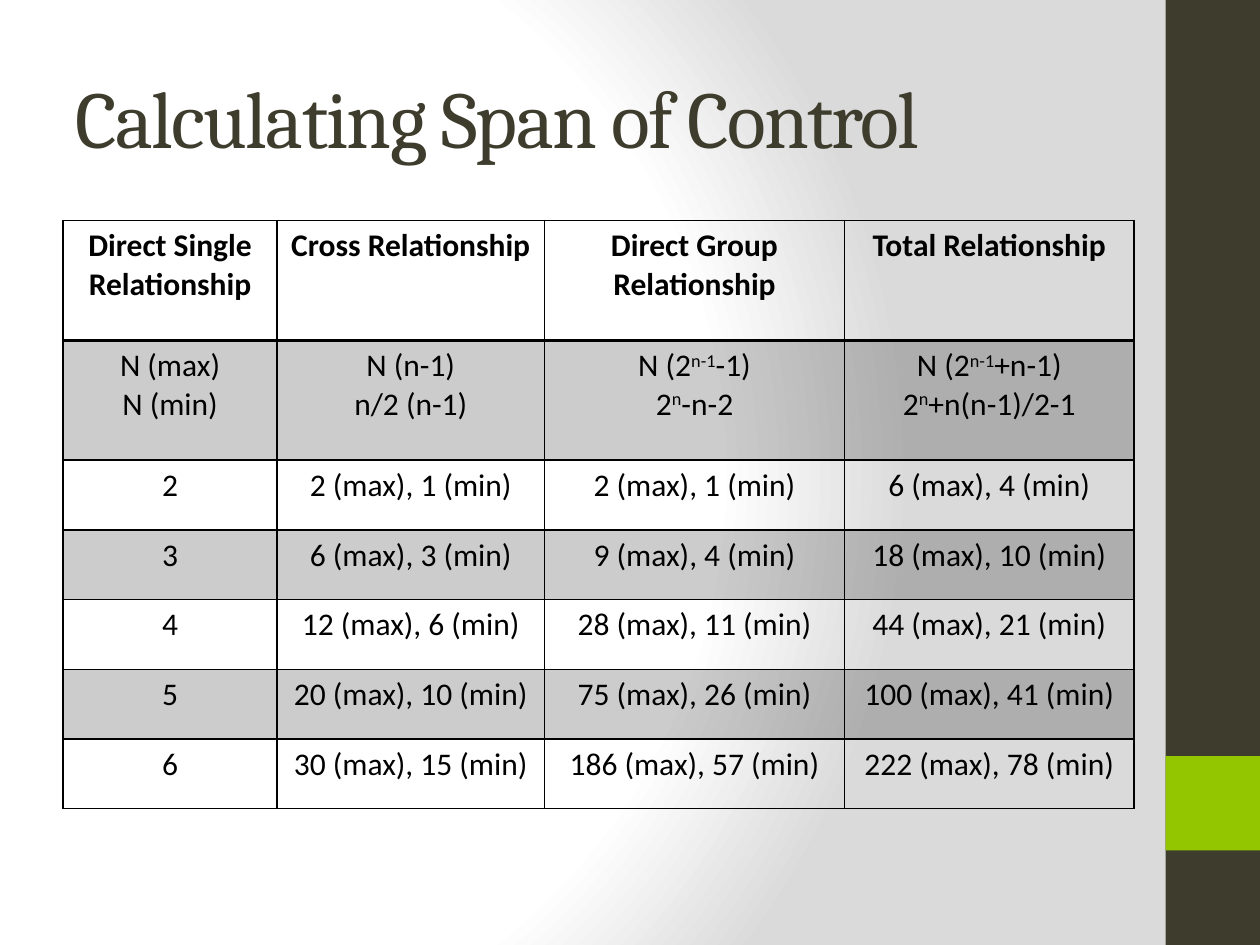
from lxml import etree
from pptx import Presentation
from pptx.dml.color import RGBColor
from pptx.enum import shapes, text
from pptx.oxml import ns, parse_xml
from pptx.util import Pt

OLIVE = RGBColor(0x3E, 0x3D, 0x2D)
GREEN = RGBColor(0x94, 0xC6, 0x00)
BLACK = RGBColor(0x00, 0x00, 0x00)
WHITE = RGBColor(0xFF, 0xFF, 0xFF)
GREY = RGBColor(0xDA, 0xDA, 0xDA)

COLUMN_WIDTHS = [122.4, 152.7, 171.6, 165.3]
ROW_HEIGHTS = [68.5] * 2 + [39.85] * 5
# Carets enclose superscripts; a line break starts a new paragraph.
ROWS = [
    ["Direct Single Relationship", "Cross Relationship",
     "Direct Group Relationship", "Total Relationship"],
    ["N (max)\nN (min)", "N (n-1)\nn/2 (n-1)",
     "N (2^n-1^-1)\n2^n^-n-2", "N (2^n-1^+n-1)\n2^n^+n(n-1)/2-1"],
    ["2", "2 (max), 1 (min)", "2 (max), 1 (min)", "6 (max), 4 (min)"],
    ["3", "6 (max), 3 (min)", "9 (max), 4 (min)", "18 (max), 10 (min)"],
    ["4", "12 (max), 6 (min)", "28 (max), 11 (min)", "44 (max), 21 (min)"],
    ["5", "20 (max), 10 (min)", "75 (max), 26 (min)", "100 (max), 41 (min)"],
    ["6", "30 (max), 15 (min)", "186 (max), 57 (min)", "222 (max), 78 (min)"],
]


def set_font(font, color, **values):
    font.color.rgb = color
    for name, value in values.items():
        setattr(font, name, value)


def add_border(cell, side, width):
    line = etree.SubElement(cell._tc.get_or_add_tcPr(), ns.qn(f"a:ln{side}"), w=str(Pt(width)))
    fill = etree.SubElement(line, ns.qn("a:solidFill"))
    etree.SubElement(fill, ns.qn("a:srgbClr"), val=str(BLACK))


deck = Presentation()
deck.slide_width, deck.slide_height = Pt(720), Pt(540)
page = deck.slides.add_slide(deck.slide_layouts[6])

# Background: white spreading from the left into grey
page.background.fill.solid()
page.background.fill.fore_color.rgb = WHITE
plain_fill = page.background._cSld.find(".//" + ns.qn("a:solidFill"))
stops = "".join(
    f'<a:gs pos="{position * 1000}"><a:srgbClr val="{color}"/></a:gs>'
    for position, color in [(0, WHITE), (75, WHITE), (100, GREY)]
)
gradient = parse_xml(
    f'<a:gradFill {ns.nsdecls("a")} rotWithShape="1"><a:gsLst>{stops}</a:gsLst>'
    '<a:path path="circle"><a:fillToRect l="20000" t="50000" r="100000" b="50000"/></a:path>'
    "</a:gradFill>"
)
plain_fill.getparent().replace(plain_fill, gradient)

# Side band with its accent square
for top, height, color in [(0, 540, OLIVE), (432, 54, GREEN)]:
    band = page.shapes.add_shape(
        shapes.MSO_SHAPE.RECTANGLE, Pt(666), Pt(top), Pt(54), Pt(height))
    band.shadow.inherit = False
    band.fill.solid()
    band.fill.fore_color.rgb = color
    band.line.fill.background()

# Title
title = page.shapes.add_textbox(Pt(36), Pt(21.6), Pt(600), Pt(90))
title.text_frame.word_wrap = True
title.text_frame.vertical_anchor = text.MSO_ANCHOR.MIDDLE
span = title.text_frame.paragraphs[0].add_run()
span.text = "Calculating Span of Control"
set_font(span.font, OLIVE, name="Cambria", size=Pt(46))
span._r.get_or_add_rPr().set("spc", "-100")

# Table
table = page.shapes.add_table(
    len(ROWS), len(COLUMN_WIDTHS), Pt(36), Pt(126),
    Pt(sum(COLUMN_WIDTHS)), Pt(sum(ROW_HEIGHTS))).table
table.first_row = table.horz_banding = False
for column, width in zip(table.columns, COLUMN_WIDTHS):
    column.width = Pt(width)
for row, height in zip(table.rows, ROW_HEIGHTS):
    row.height = Pt(height)

for row_index, row in enumerate(ROWS):
    for column_index, content in enumerate(row):
        cell = table.cell(row_index, column_index)
        top_width = 2 if row_index == 1 else 1
        bottom_width = 2 if row_index == 0 else 1
        for side, width in [("L", 1), ("R", 1), ("T", top_width), ("B", bottom_width)]:
            add_border(cell, side, width)

        if row_index % 2:
            cell.fill.solid()
            cell.fill.fore_color.rgb = BLACK
            shade = cell._tc.tcPr.find(ns.qn("a:solidFill"))[0]
            etree.SubElement(shade, ns.qn("a:alpha"), val="20000")
        else:
            cell.fill.background()

        for line_index, line in enumerate(content.split("\n")):
            frame = cell.text_frame
            para = frame.add_paragraph() if line_index else frame.paragraphs[0]
            para.alignment = text.PP_ALIGN.CENTER
            for part_index, part in enumerate(line.split("^")):
                span = para.add_run()
                span.text = part
                set_font(span.font, BLACK, name="Calibri", size=Pt(18), bold=row_index == 0)
                if part_index % 2:
                    span._r.get_or_add_rPr().set("baseline", "30000")

deck.save("out.pptx")
